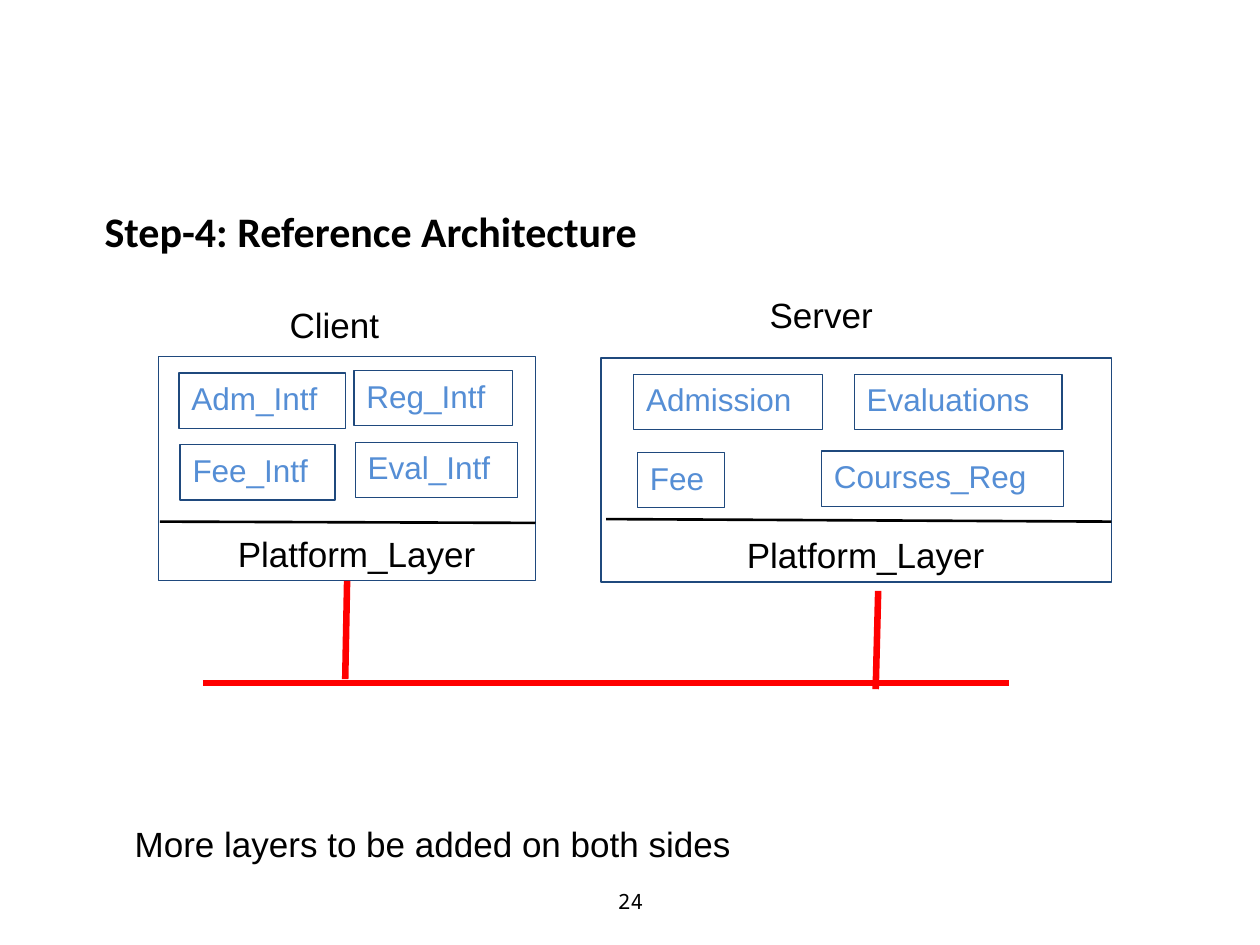
from pptx import Presentation
from pptx.dml.color import RGBColor
from pptx.enum.shapes import MSO_CONNECTOR, MSO_SHAPE
from pptx.enum.text import MSO_ANCHOR, MSO_AUTO_SIZE, PP_ALIGN
from pptx.oxml.ns import qn
from pptx.util import Inches, Pt
from lxml import etree

LINE = MSO_CONNECTOR.STRAIGHT
RECT = MSO_SHAPE.RECTANGLE
LEFT, CENTER = PP_ALIGN.LEFT, PP_ALIGN.CENTER
TOP, MIDDLE, BOTTOM = MSO_ANCHOR.TOP, MSO_ANCHOR.MIDDLE, MSO_ANCHOR.BOTTOM
FIXED = MSO_AUTO_SIZE.NONE
BLACK, RED, NAVY, BLUE = "000000", "FF0000", "1F497D", "558ED5"
ROW = 0.44

CHIPS = [
    ("Adm_Intf", 1.42, 2.96, 1.32),
    ("Reg_Intf", 2.81, 2.94, 1.26),
    ("Fee_Intf", 1.43, 3.53, 1.23),
    ("Eval_Intf", 2.82, 3.51, 1.29),
    ("Admission", 5.03, 2.97, 1.5),
    ("Evaluations", 6.78, 2.97, 1.65),
    ("Fee", 5.06, 3.59, 0.69),
    ("Courses_Reg", 6.52, 3.58, 1.92),
]
LABELS = [
    ("Client", 2.2, 2.36, 0.92),
    ("Server", 6.01, 2.28, 1.03),
    ("More layers to be added on both sides", 0.97, 6.48, 4.97),
]


def color(code):
    return RGBColor.from_string(code)


def write(shape, text, size=20, font="Arial", fill=BLACK, bold=False,
          align=LEFT, anchor=TOP, left=0.1, right=0):
    frame = shape.text_frame
    frame.auto_size = FIXED
    frame.word_wrap = True
    frame.vertical_anchor = anchor
    frame.margin_left, frame.margin_right = Inches(left), Inches(right)
    frame.margin_top = frame.margin_bottom = Inches(0.05)
    para = frame.paragraphs[0]
    para.alignment = align
    run = para.add_run()
    run.text = text
    run.font.size = Pt(size)
    run.font.name = font
    run.font.bold = bold
    run.font.color.rgb = color(fill)


def add_title(slide, text):
    title = slide.shapes.title
    title.left, title.top = Inches(0.73), Inches(1.58)
    title.width, title.height = Inches(7.56), Inches(0.5)
    write(title, text, size=24, font="Calibri", bold=True)


def add_label(slide, text, x, y, w, h=ROW, **style):
    label = slide.shapes.add_textbox(Inches(x), Inches(y), Inches(w), Inches(h))
    write(label, text, **style)


def add_box(slide, text, x, y, w, h=ROW, **style):
    box = slide.shapes.add_shape(RECT, Inches(x), Inches(y), Inches(w), Inches(h))
    box.shadow.inherit = False
    box.fill.background()
    box.line.color.rgb = color(NAVY)
    box.line.width = Pt(0.75)
    write(box, text, **style)
    return box


def add_host(slide, x, y, w):
    return add_box(slide, "Platform_Layer", x, y, w, 1.78, align=CENTER,
                   anchor=BOTTOM, left=0.25, right=0.1)


def add_line(slide, x1, y1, x2, y2, stroke, width):
    line = slide.shapes.add_connector(
        LINE, Inches(x1), Inches(y1), Inches(x2), Inches(y2))
    line.line.color.rgb = color(stroke)
    line.line.width = Pt(width)
    etree.SubElement(line._element.spPr, qn("a:effectLst"))
    return line


def main():
    deck = Presentation()
    deck.slide_width, deck.slide_height = Inches(10), Inches(7.5)
    slide = deck.slides.add_slide(deck.slide_layouts[5])

    add_title(slide, "Step-4: Reference Architecture")
    client = add_host(slide, 1.26, 2.83, 2.99)
    add_host(slide, 4.77, 2.84, 4.05)
    for chip in CHIPS:
        add_box(slide, *chip, size=18, fill=BLUE)
    for label in LABELS:
        add_label(slide, *label)

    add_line(slide, 1.27, 4.14, 4.25, 4.15, BLACK, 1.5)
    add_line(slide, 4.81, 4.12, 8.82, 4.14, BLACK, 1.5)
    add_line(slide, 1.61, 5.42, 8.01, 5.42, RED, 3.75)
    link = add_line(slide, 2.76, 4.61, 2.74, 5.39, RED, 3.75)
    link.begin_connect(client, 2)
    add_line(slide, 6.97, 4.69, 6.95, 5.47, RED, 3.75)

    add_label(slide, "24", 3.42, 6.95, 3.17, 0.4, size=12,
              font="Noto Sans Mono", align=CENTER, anchor=MIDDLE, left=0)
    deck.save("out.pptx")


if __name__ == "__main__":
    main()
